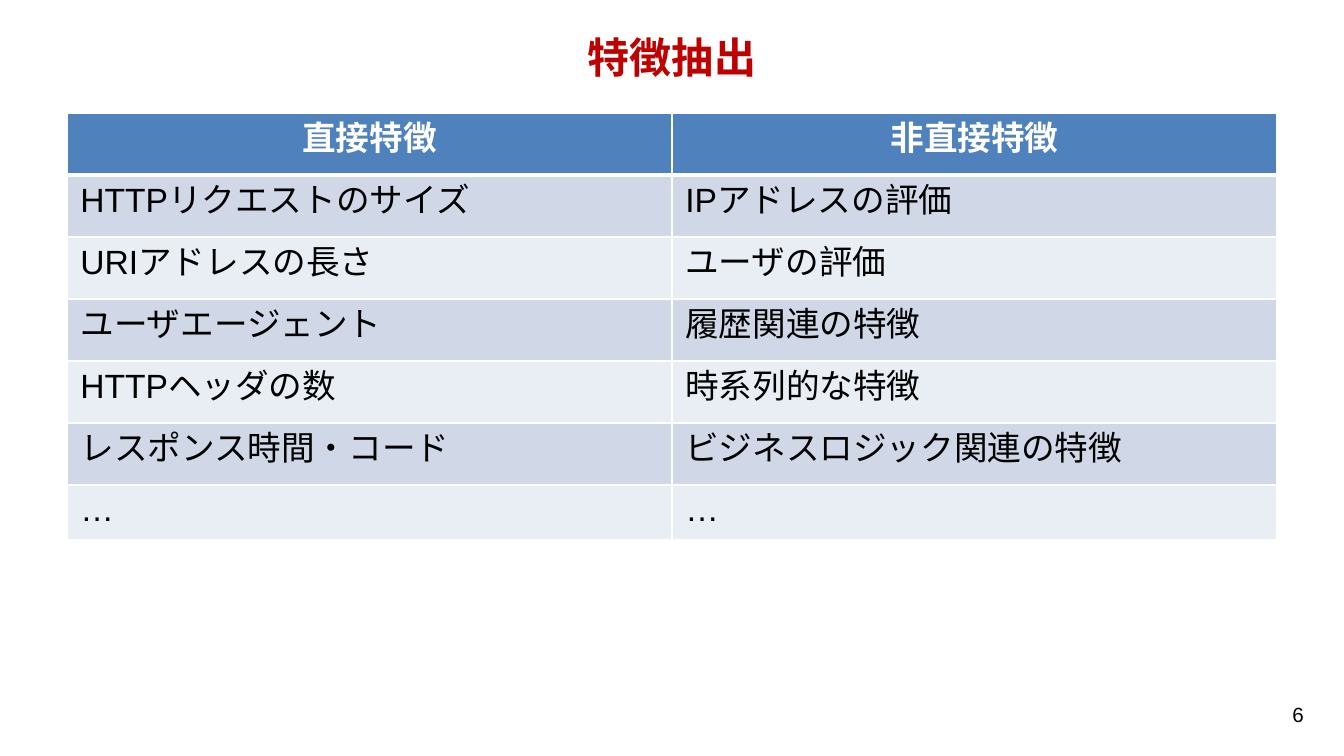
from dataclasses import dataclass

from lxml.etree import SubElement
from pptx import Presentation
from pptx.dml.color import RGBColor
from pptx.enum.text import MSO_ANCHOR, PP_ALIGN
from pptx.oxml.ns import qn
from pptx.util import Emu, Pt

EMU_PER_PX = 914400 / 134.4


@dataclass(frozen=True)
class Theme:
    font: str = "Arial"
    title_color: str = "BF0000"
    text_color: str = "000000"
    header_text: str = "FFFFFF"
    header_fill: str = "4F81BD"
    band_fills: tuple = ("D0D8E8", "E9EDF4")
    border: str = "FFFFFF"
    title_size: float = 22.5
    table_size: float = 18
    number_size: float = 11
    thin_line: float = 1
    thick_line: float = 3


THEME = Theme()

FEATURES = [
    ("直接特徴", "非直接特徴"),
    ("HTTPリクエストのサイズ", "IPアドレスの評価"),
    ("URIアドレスの長さ", "ユーザの評価"),
    ("ユーザエージェント", "履歴関連の特徴"),
    ("HTTPヘッダの数", "時系列的な特徴"),
    ("レスポンス時間・コード", "ビジネスロジック関連の特徴"),
    ("…", "…"),
]


def px(length):
    return Emu(round(length * EMU_PER_PX))


def write_text(text_frame, text, size, color, align, bold=False):
    paragraph = text_frame.paragraphs[0]
    paragraph.alignment = align
    run = paragraph.add_run()
    run.text = text
    run.font.name = THEME.font
    run.font.size = Pt(size)
    run.font.bold = bold
    run.font.color.rgb = RGBColor.from_string(color)
    SubElement(run._r.get_or_add_rPr(), qn("a:ea"), typeface=THEME.font)


def add_text(slide, box, text, size, color, align, bold=False):
    shape = slide.shapes.add_textbox(*map(px, box))
    text_frame = shape.text_frame
    text_frame.word_wrap = True
    text_frame.vertical_anchor = MSO_ANCHOR.MIDDLE
    text_frame.margin_top = text_frame.margin_bottom = 0
    write_text(text_frame, text, size, color, align, bold)


def set_borders(cell, widths):
    properties = cell._tc.get_or_add_tcPr()
    for index, (side, width) in enumerate(widths.items()):
        line = SubElement(properties, qn(f"a:ln{side}"), w=str(Pt(width)))
        fill = SubElement(line, qn("a:solidFill"))
        SubElement(fill, qn("a:srgbClr"), val=THEME.border)
        properties.insert(index, line)


def style_cell(cell, text, row_index):
    is_header = row_index == 0
    fill = THEME.header_fill if is_header else THEME.band_fills[(row_index - 1) % 2]
    color = THEME.header_text if is_header else THEME.text_color
    align = PP_ALIGN.CENTER if is_header else PP_ALIGN.LEFT
    write_text(cell.text_frame, text, THEME.table_size, color, align, is_header)
    cell.fill.solid()
    cell.fill.fore_color.rgb = RGBColor.from_string(fill)
    widths = dict.fromkeys("LRTB", THEME.thin_line)
    if is_header:
        widths["B"] = THEME.thick_line
    elif row_index == 1:
        widths["T"] = THEME.thick_line
    set_borders(cell, widths)


def add_feature_table(slide, left, top, column_width, row_height, last_height):
    row_count, column_count = len(FEATURES), len(FEATURES[0])
    heights = [row_height] * (row_count - 1) + [last_height]
    table = slide.shapes.add_table(
        row_count, column_count, px(left), px(top),
        px(column_width * column_count), px(sum(heights)),
    ).table
    for column in table.columns:
        column.width = px(column_width)
    for row_index, (texts, height) in enumerate(zip(FEATURES, heights)):
        table.rows[row_index].height = px(height)
        for column_index, text in enumerate(texts):
            style_cell(table.cell(row_index, column_index), text, row_index)


def main():
    presentation = Presentation()
    presentation.slide_width, presentation.slide_height = px(1344), px(756)
    slide = presentation.slides.add_slide(presentation.slide_layouts[6])
    add_text(slide, (67, 31, 1210, 51), "特徴抽出", THEME.title_size,
             THEME.title_color, PP_ALIGN.CENTER, bold=True)
    add_feature_table(slide, left=67, top=113, column_width=605,
                      row_height=62, last_height=55)
    add_text(slide, (1004, 694, 313, 40), "6", THEME.number_size,
             THEME.text_color, PP_ALIGN.RIGHT)
    presentation.save("out.pptx")


if __name__ == "__main__":
    main()
